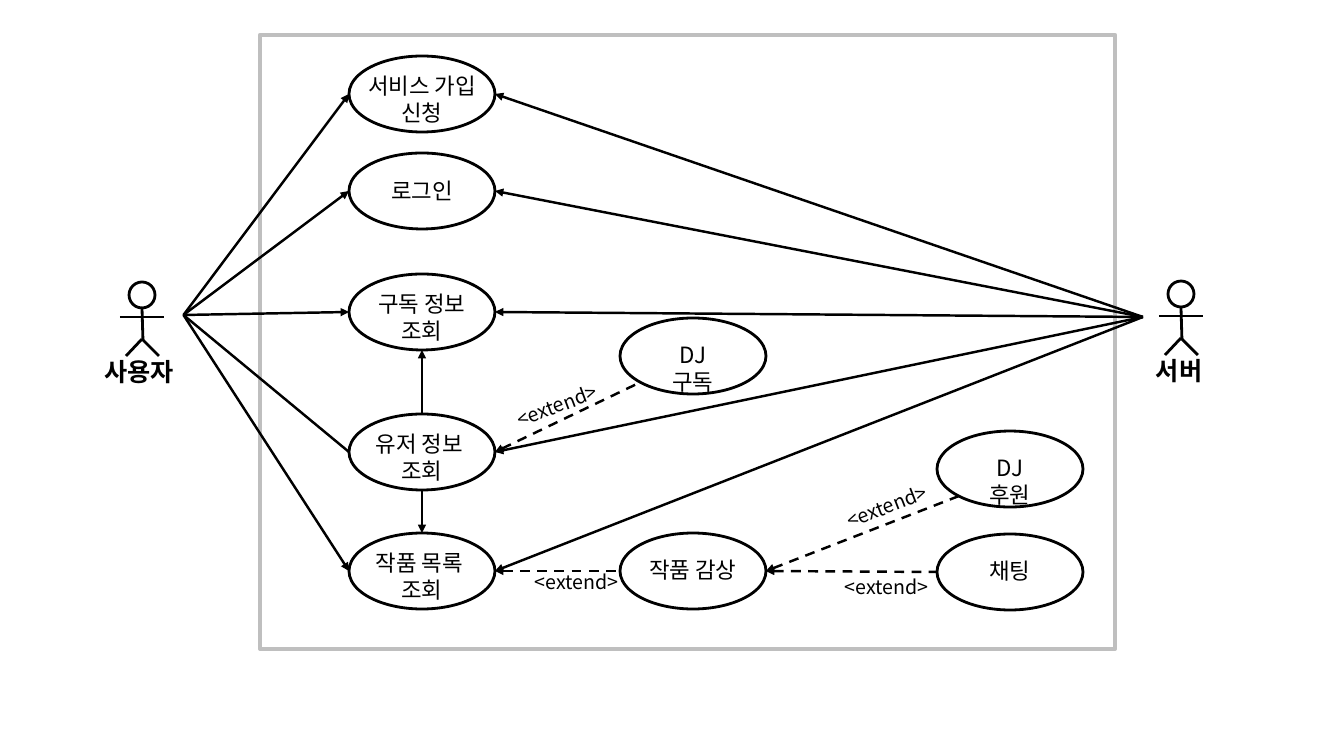
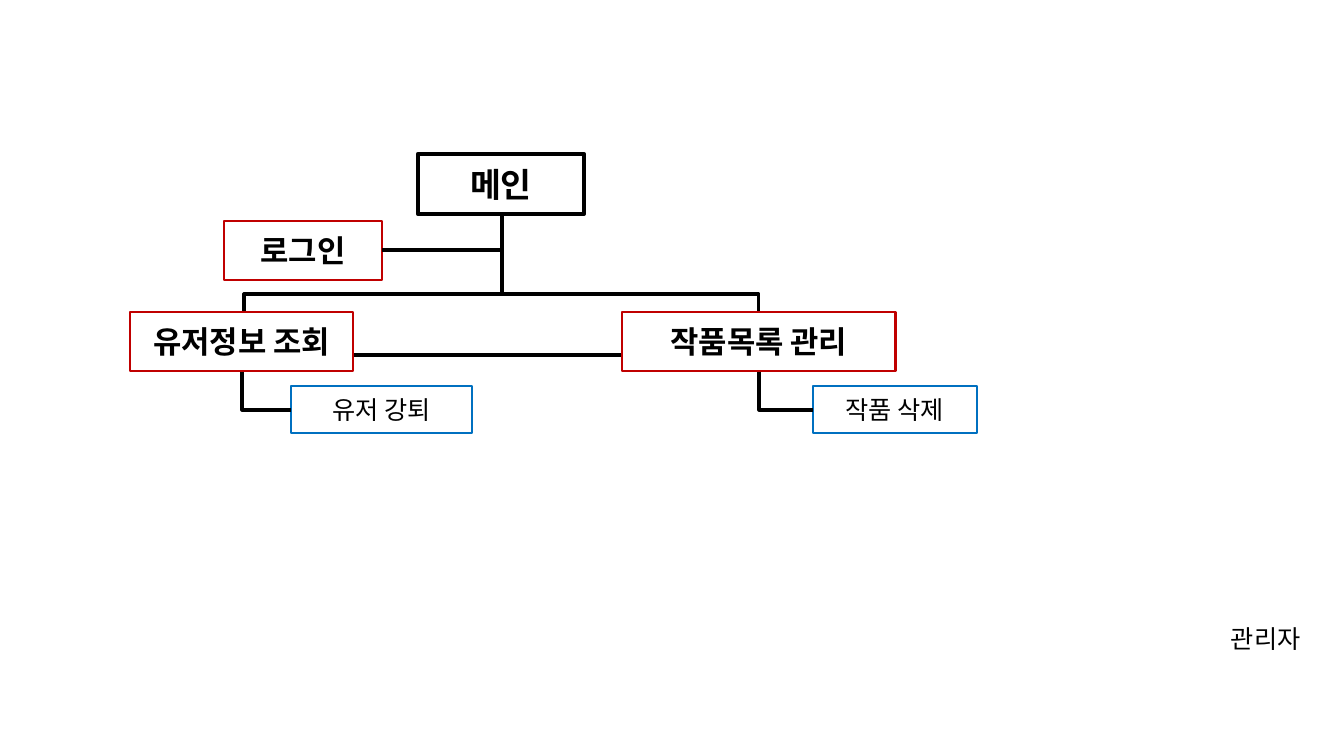
from lxml import etree
from pptx import Presentation
from pptx.dml.color import RGBColor
from pptx.enum.dml import MSO_LINE
from pptx.enum.shapes import MSO_CONNECTOR, MSO_SHAPE
from pptx.enum.text import MSO_ANCHOR, MSO_AUTO_SIZE, PP_ALIGN
from pptx.oxml.ns import qn
from pptx.util import Pt

RECT, OVAL = MSO_SHAPE.RECTANGLE, MSO_SHAPE.OVAL
STRAIGHT, ELBOW = MSO_CONNECTOR.STRAIGHT, MSO_CONNECTOR.ELBOW
LEFT, CENTER = PP_ALIGN.LEFT, PP_ALIGN.CENTER
MIDDLE, GROW, DASH = MSO_ANCHOR.MIDDLE, MSO_AUTO_SIZE.SHAPE_TO_FIT_TEXT, MSO_LINE.DASH
FONT = "Noto Sans CJK KR"
COLORS = {"ink": "000000", "frame": "BFBFBF", "page": "FFFFFF",
          "menu": "C00000", "action": "0070C0"}
COLORS = {name: RGBColor.from_string(value) for name, value in COLORS.items()}
PX = 914400 / 100.8


def box(s, kind, at, text="", size=16, bold=False, align=CENTER, wrap=True,
        color="ink", width=2, fill=None):
    """Add a preset shape, or a text box when kind is None."""
    at = [round(v * PX) for v in at]
    if kind is None:
        sp = s.shapes.add_textbox(*at)
        frame_format = {"word_wrap": wrap, "auto_size": GROW}
    else:
        sp = s.shapes.add_shape(kind, *at)
        sp.shadow.inherit = False
        sp.line.color.rgb = COLORS[color]
        sp.line.width = Pt(width)
        sp.fill.background()
        if fill:
            sp.fill.solid()
            sp.fill.fore_color.rgb = COLORS[fill]
        frame_format = {"word_wrap": wrap, "vertical_anchor": MIDDLE}
    if not text:
        return sp
    tf = sp.text_frame
    for key, value in frame_format.items():
        setattr(tf, key, value)
    for i, row in enumerate(text.split("\n")):
        p = tf.add_paragraph() if i else tf.paragraphs[0]
        p.alignment = align
        r = p.add_run()
        r.text = row
        for key, value in {"name": FONT, "size": Pt(size), "bold": bold}.items():
            setattr(r.font, key, value)
        r.font.color.rgb = COLORS["ink"]
        etree.SubElement(r.font._element, qn("a:ea"), typeface=FONT)
    return sp


def line(s, start, end, width=1.75, arrow=None, dash=None, kind=STRAIGHT):
    """Add a connector; arrow is headEnd (at start) or tailEnd (at end)."""
    c = s.shapes.add_connector(kind, *[round(v * PX) for v in (*start, *end)])
    c.line.color.rgb = COLORS["ink"]
    c.line.width = Pt(width)
    if dash:
        c.line.dash_style = dash
    if arrow:
        etree.SubElement(c.line._get_or_add_ln(), qn(f"a:{arrow}"), type="triangle")
    etree.SubElement(c._element.spPr, qn("a:effectLst"))
    return c


prs = Presentation()
prs.slide_width, prs.slide_height = round(1344 * PX), round(756 * PX)
blank = prs.slide_layouts[6]

# Slide 1: use case diagram
s = prs.slides.add_slide(blank)
box(s, RECT, (260, 35, 855, 614), color="frame", width=3)

# Use cases: left, top, label width, label
CASE_W, CASE_H = 146, 76
COL_1, COL_2, COL_3 = 349, 620, 937
SIGN_UP, LOGIN, PLAN, USER, WORKS = 56, 153, 274, 414, 533
use_cases = [
    (COL_1, SIGN_UP, 137, "서비스 가입\n신청"),
    (COL_1, USER, 121, "유저 정보 \n조회"),
    (COL_1, PLAN, 115, "구독 정보\n조회"),
    (COL_1, WORKS, 121, "작품 목록 \n조회"),
    (COL_2, WORKS, 115, "작품 감상"),
    (COL_3, 431, 88, "DJ 후원"),
    (COL_2, 318, 88, "DJ 구독"),
    (COL_3, 534, 64, "채팅"),
]
box(s, OVAL, (COL_1, LOGIN, CASE_W, CASE_H), "로그인")
for x, y, w, label in use_cases:
    box(s, OVAL, (x, y, CASE_W, CASE_H))
    drop, h = (11, 64) if "\n" in label else (18, 37)
    box(s, None, (x + (CASE_W - w) / 2, y + drop, w, h), label,
        wrap=label.startswith("DJ"))

# Actors
for cx, top, w, name in [(142, 282, 95, "사용자"), (1181, 281, 70, "서버")]:
    box(s, OVAL, (cx - 13, top, 26, 26))
    hip = (cx, top + 57)
    for start, end in [((cx, top + 26), (cx + 1, top + 59)),
                       (hip, (cx - 16, top + 74)),
                       (hip, (cx + 17, top + 74)),
                       ((cx - 22, top + 35), (cx + 22, top + 35))]:
        line(s, start, end, width=2)
    box(s, None, (cx - w / 2, top + 69, w, 40), name, size=18, bold=True,
        align=LEFT, wrap=False)

# Links from both actors to the first column
right_1 = COL_1 + CASE_W
for top in (SIGN_UP, LOGIN, PLAN, USER, WORKS):
    y = top + CASE_H / 2
    line(s, (183.5, 315), (COL_1, y), arrow=None if top == USER else "tailEnd")
    line(s, (1143, 317), (right_1, y), arrow="tailEnd")

# Links between use cases
mid_1 = COL_1 + CASE_W / 2
line(s, (mid_1, USER), (mid_1, PLAN + CASE_H), arrow="tailEnd")
line(s, (mid_1, USER + CASE_H), (mid_1, WORKS), width=2, arrow="tailEnd")
works_y, right_2 = WORKS + CASE_H / 2, COL_2 + CASE_W
for start, end in [((right_1, USER + CASE_H / 2), (641, 382)),
                   ((right_1, works_y), (COL_2, works_y)),
                   ((right_2, works_y), (959, 496)),
                   ((right_2, works_y), (COL_3, 572))]:
    line(s, start, end, arrow="headEnd", dash=DASH)
for x, y, angle in [(505, 388, 339.4), (525, 565, 0), (835, 489, 338.8), (835, 570, 0)]:
    sp = box(s, None, (x, y, 106, 34), "<extend>", size=14, align=LEFT, wrap=False)
    sp.rotation = angle

# Slide 2: administrator menu tree
s = prs.slides.add_slide(blank)
box(s, RECT, (244, 294, 515, 61), width=2.25)
for x, w, label in [(130, 223, "유저정보 조회"), (622, 274, "작품목록 관리")]:
    box(s, RECT, (x, 312, w, 59), label, size=22, bold=True, color="menu", fill="page")

# Actions, each hung on a bent line
MENU_BOTTOM, ACTION_Y = 372, 410
for stem, x, w, label in [(242, 291, 181, "유저 강퇴"), (759, 813, 164, "작품 삭제")]:
    box(s, RECT, (x, 386, w, 47), label, size=18, color="action")
    cx, cy = (stem + x) / 2, (MENU_BOTTOM + ACTION_Y) / 2
    dx, dy = (x - stem) / 2, (ACTION_Y - MENU_BOTTOM) / 2
    c = line(s, (cx + dy, cy - dx), (cx - dy, cy + dx), width=2.25, kind=ELBOW)
    c._element.spPr.find(qn("a:xfrm")).set("rot", str(270 * 60000))
    c._element.spPr.find(qn("a:prstGeom")).set("prst", "bentConnector2")

# Main page and login
box(s, RECT, (418, 154, 166, 60), "메인", size=24, bold=True, width=3)
line(s, (502, 214), (502, 296), width=2.25)
box(s, RECT, (224, 221, 158, 59), "로그인", size=22, bold=True, color="menu")
line(s, (382, 250), (502, 250), width=2.25)

box(s, None, (1221, 618, 97, 40), "관리자", size=18, align=LEFT, wrap=False)

prs.save("out.pptx")
